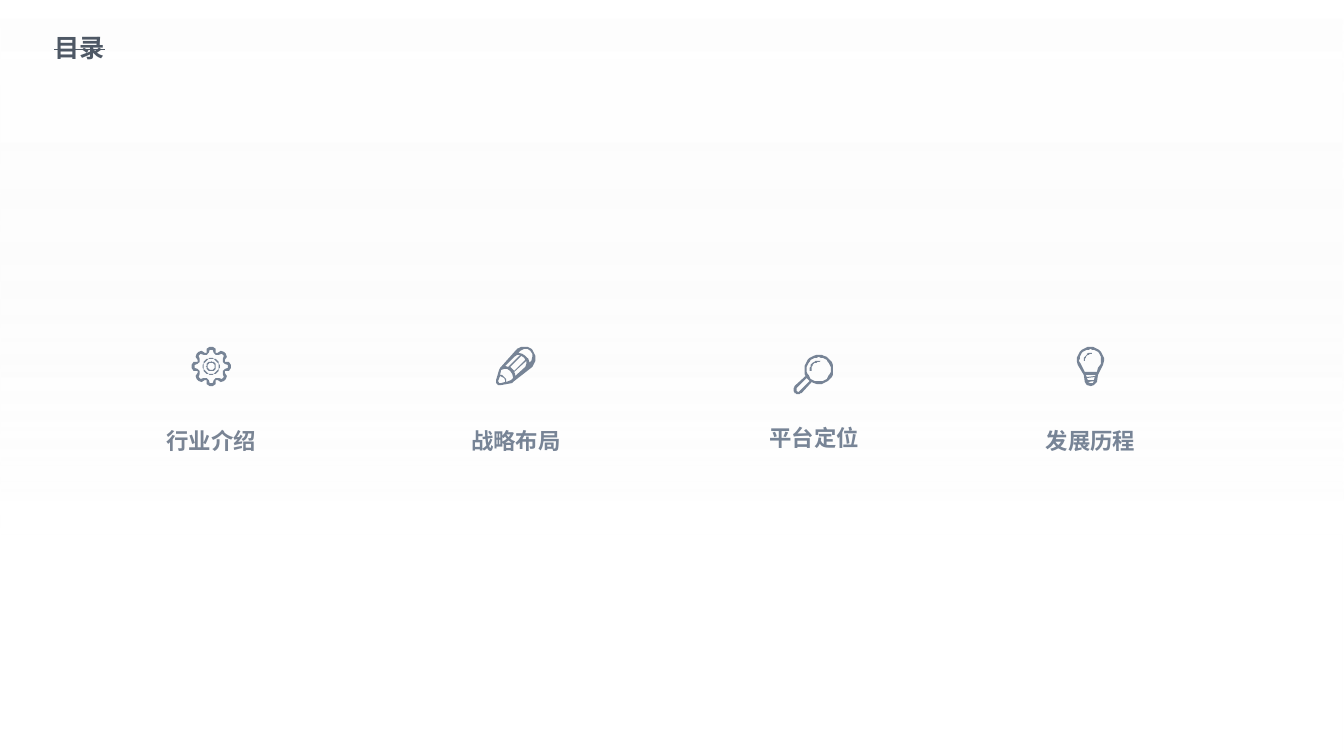
import math
import pptx
import pptx.dml.color
import pptx.enum.shapes
import pptx.enum.text
import pptx.oxml.ns
import pptx.util
from lxml import etree
from pptx.util import Inches

FONT = "Noto Sans CJK SC"
SLATE = "778496"
TITLE = ("目录", 0.44, 0.27, 0.71, 0.4, 18, "4E5865")
LABELS = [  # text, left, top, colour
    ("行业介绍", 0.97, 4.11, "798494"),
    ("战略布局", 3.99, 4.11, SLATE),
    ("平台定位", 6.95, 4.08, SLATE),
    ("发展历程", 9.69, 4.11, SLATE),
]
UNIT = Inches(0.01)  # icon points are hundredths of an inch


def arc(cx, cy, r, start=0, end=360, step=10):
    n = max(2, round(abs(end - start) / step))
    angles = [math.radians(start + (end - start) * i / n) for i in range(n + 1)]
    return [(cx + r * math.cos(a), cy + r * math.sin(a)) for a in angles]


def ring(cx, cy, outer, inner):
    return [arc(cx, cy, outer), arc(cx, cy, inner)]


def glint(cx, cy, outer, inner):
    return [arc(cx, cy, outer, 170, 280) + arc(cx, cy, inner, 280, 170)]


def cog(cx, cy, half_tooth, teeth=8):
    profile = [(-a, r) for a, r in half_tooth] + half_tooth[::-1]
    return [arc(cx, cy, r, t * 360 / teeth + a, t * 360 / teeth + a)[0]
            for t in range(teeth) for a, r in profile]


# Each icon is a list of shapes; each shape is a list of contours (outline, then holes)
GEAR = [
    [cog(209.5, 363.5, [(19.5, 14.5), (14.4, 18), (4.4, 19.5)]),
     cog(209.5, 363.5, [(21, 12.3), (11, 13.7), (5, 16.6)])],
    ring(209.5, 363.5, 8.5, 7.5),
    ring(209.5, 363.5, 5, 3.8),
]
PENCIL = [[
    arc(520, 355.5, 11.5, 225, 405)
    + [(510, 378), (508, 380), (497, 382), (494, 382.5), (492, 380), (492, 377), (495, 367), (496, 365)],
    [(511, 373), (511.3, 371), (510, 369), (522, 358), (522, 361), (521, 364)],
    [(510, 368), (508, 366), (506, 364), (517, 353), (520, 355), (521, 357)],
    [(504, 364), (501, 363), (510, 354), (513, 352), (516, 352)],
    [(497, 380), (495, 379.5), (494, 378), (496, 373), (498, 373.5), (500, 375), (501, 377), (501, 379)],
    [(502, 379), (502, 376.5), (500, 374), (498, 372.5), (496, 372), (497, 367),
     (500, 365.5), (503, 366), (506, 368), (508.5, 371), (508.7, 375), (507, 377)],
    [(527, 358), (525, 360), (525, 359), (523.5, 355.5), (521, 353), (518, 351), (514, 350),
     (516, 348), (520, 346), (523, 346.5), (526, 348), (528, 351), (528, 354)],
]]
MAGNIFIER = [
    [arc(812, 366.5, 14.5, 153, 479) + arc(791.5, 386.5, 4.5, 45, 225),
     arc(812, 366.5, 12),
     [(800, 375), (803, 378), (793, 388), (792, 389), (790.5, 388.5), (790, 386.5), (790, 385)]],
    glint(812, 366.5, 8.7, 7.2),
]
BULB = [
    [arc(1081.5, 357.5, 13.5, 180, 360)
     + [(1094, 362), (1089, 372), (1087.5, 379), (1085, 382), (1081.5, 383),
        (1078, 382), (1076, 379), (1075, 372), (1069, 362)],
     arc(1081.5, 357.5, 11, 180, 360)
     + [(1092, 361), (1089, 365), (1088, 369), (1076, 369), (1074, 365), (1071.5, 361)],
     [(1077, 372), (1087, 372), (1086, 373), (1078, 374)],
     [(1078, 375), (1086, 374), (1085, 377), (1079, 377)],
     [(1079, 379), (1085, 378), (1084, 380), (1081, 380)]],
    glint(1082, 357, 7, 5.8),
]


def color(value):
    return pptx.dml.color.RGBColor.from_string(value)


def add_text(s, text, left, top, width, height, size, value, title=False):
    tf = s.shapes.add_textbox(*map(Inches, (left, top, width, height))).text_frame
    tf.word_wrap = not title
    tf.auto_size = pptx.enum.text.MSO_AUTO_SIZE.SHAPE_TO_FIT_TEXT
    p = tf.paragraphs[0]
    p.text = text
    if not title:
        p.alignment = pptx.enum.text.PP_ALIGN.CENTER
        p.line_spacing = 1.3
    p.font.size, p.font.bold, p.font.name = pptx.util.Pt(size), True, FONT
    p.font.color.rgb = color(value)
    props = p._p.pPr.find(pptx.oxml.ns.qn("a:defRPr"))
    etree.SubElement(props, pptx.oxml.ns.qn("a:ea"), typeface=FONT)
    if title:
        props.set("strike", "sngStrike")


def add_outline(s, contours):
    first, *holes = contours
    builder = s.shapes.build_freeform(*first[0], scale=UNIT)
    builder.add_line_segments(first[1:])
    for hole in holes:
        builder.move_to(*hole[0])
        builder.add_line_segments(hole[1:])
    sp = builder.convert_to_shape()
    sp.shadow.inherit = False
    sp.fill.solid()
    sp.fill.fore_color.rgb = color(SLATE)
    sp.line.fill.background()


def add_backdrop(s, prs):
    sp = s.shapes.add_shape(pptx.enum.shapes.MSO_SHAPE.RECTANGLE, 0, 0, prs.slide_width, prs.slide_height)
    sp.shadow.inherit = False
    sp.line.fill.background()
    sp.fill.gradient()
    sp.fill.gradient_angle = 270
    stops = zip(sp.fill.gradient_stops, [(0, "FFFFFF"), (0.71, "F2F2F2")])
    for stop, (position, value) in stops:
        stop.position = position
        stop.color.rgb = color(value)
    # Fade from 55% opaque to clear
    for node, alpha in zip(sp._element.spPr.iter(pptx.oxml.ns.qn("a:srgbClr")), ("55000", "0")):
        etree.SubElement(node, pptx.oxml.ns.qn("a:alpha"), val=alpha)


def main():
    prs = pptx.Presentation()
    prs.slide_width, prs.slide_height = Inches(13.33), Inches(7.5)
    s = prs.slides.add_slide(prs.slide_layouts[6])
    add_backdrop(s, prs)
    # Agenda entries
    for (text, left, top, value), icon in zip(LABELS, (GEAR, PENCIL, MAGNIFIER, BULB)):
        add_text(s, text, left, top, 2.25, 0.42, 16, value)
        for contours in icon:
            add_outline(s, contours)
    # Title
    add_text(s, *TITLE, title=True)
    prs.save("out.pptx")


if __name__ == "__main__":
    main()
